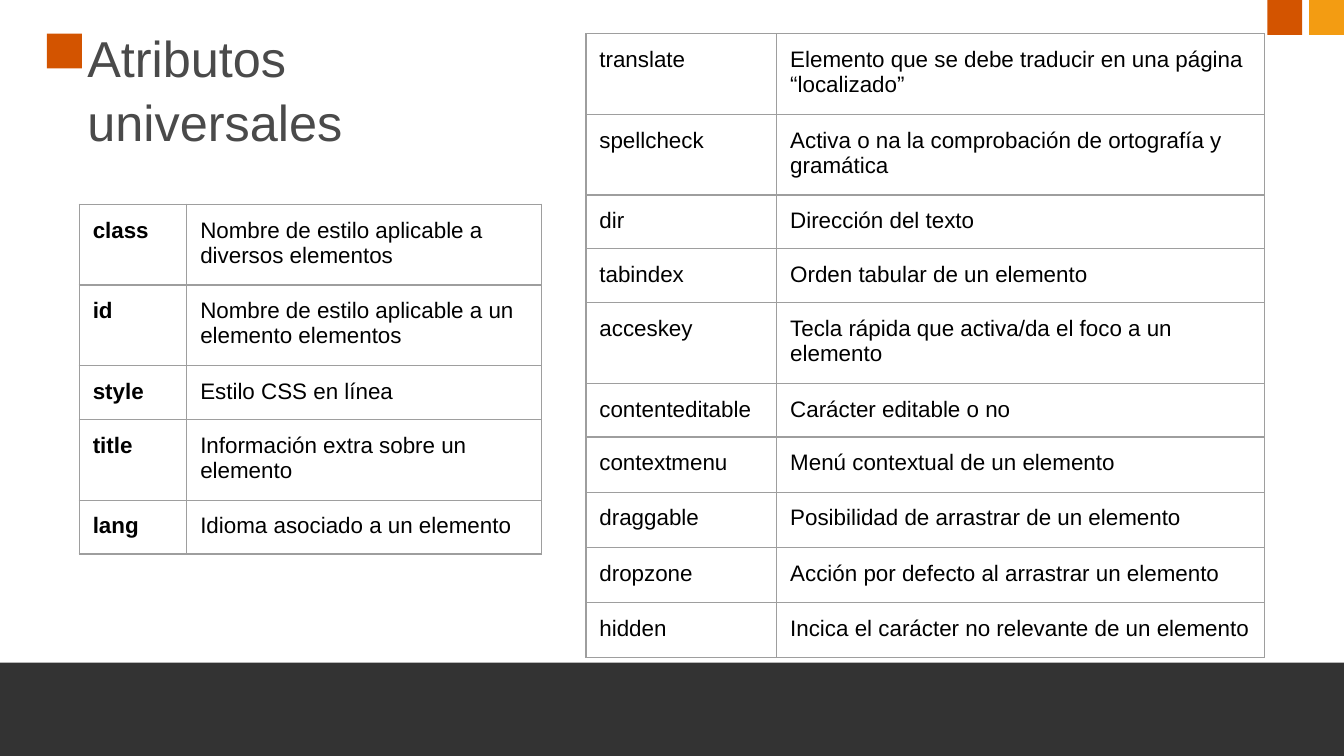
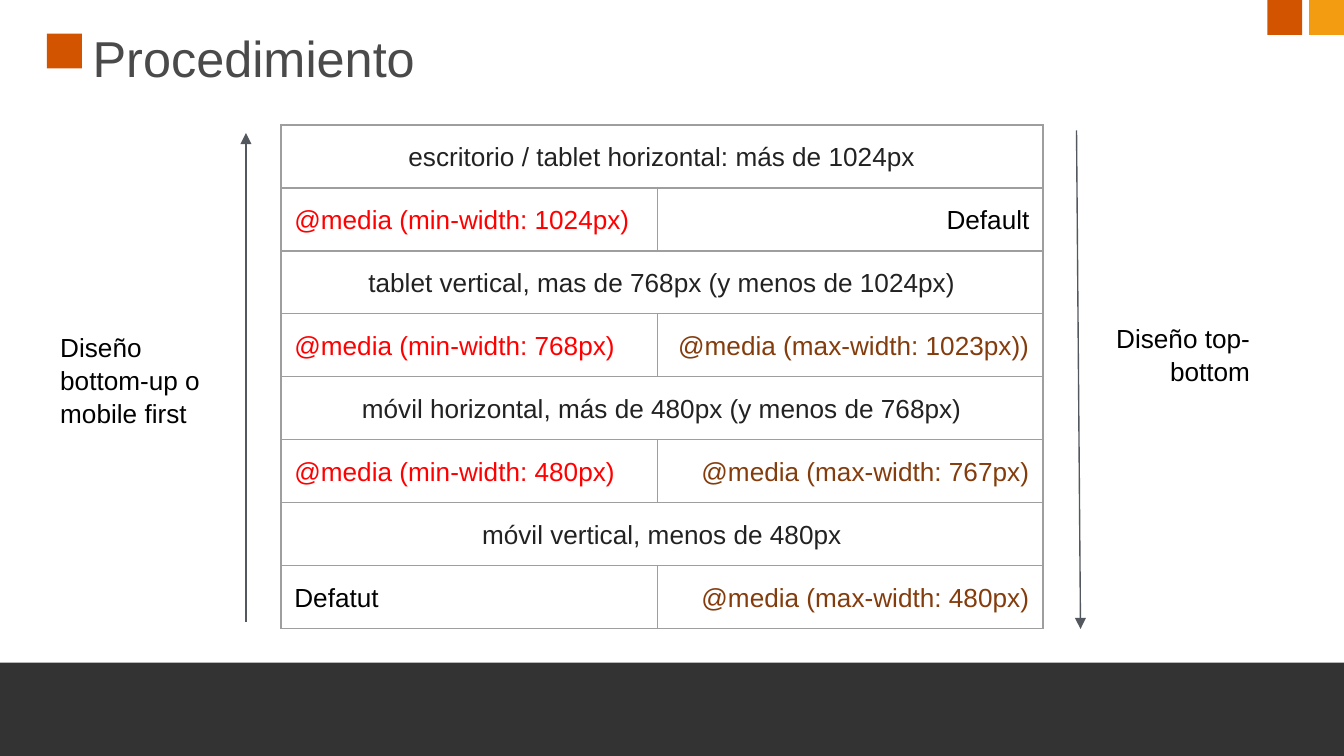
import dataclasses
import typing

import lxml.etree
import pptx
import pptx.dml.color
import pptx.enum.shapes
import pptx.enum.text
import pptx.oxml
import pptx.oxml.ns
import pptx.util

WIDTH = pptx.util.Inches(10)
HEIGHT = pptx.util.Inches(5.625)
COLUMN = WIDTH / 100
ROW = HEIGHT / 56.25
FONT = "Arial"
COLORS = {
    "orange": "D35400",
    "amber": "F39C12",
    "band": "333333",
    "title": "4A4A4A",
    "text": "000000",
    "device": "222222",
    "min_width": "FF0000",
    "max_width": "843C0C",
    "border": "9E9E9E",
    "arrow": "53585F",
}
ALIGN = pptx.enum.text.PP_ALIGN
ANCHOR = pptx.enum.text.MSO_ANCHOR


class Area(typing.NamedTuple):
    """A rectangle in grid columns and rows."""
    left: float
    top: float
    width: float
    height: float


class Block(typing.NamedTuple):
    area: Area
    color: str


class Entry(typing.NamedTuple):
    text: str
    color: str = "text"
    align: ALIGN = ALIGN.LEFT
    bold: bool = False


class Arrow(typing.NamedTuple):
    start: tuple[float, float]
    end: tuple[float, float]


@dataclasses.dataclass
class TableSpec:
    """A row with a single entry spans every column."""
    area: Area
    columns: list[float]
    rows: list[float]
    entries: list[list[Entry]]
    size: float = 12
    spacing: float = 1.0


SQUARE = 2.6
MASTER_BLOCKS = [
    Block(Area(3.5, 2.5, SQUARE, SQUARE), "orange"),
    Block(Area(-0.3, 49.3, 100.5, 7), "band"),
    Block(Area(94.3, 0, SQUARE, SQUARE), "orange"),
    Block(Area(97.4, 0, SQUARE, SQUARE), "amber"),
]

MAIN_ATTRIBUTES = {
    "class": "Nombre de estilo aplicable a diversos elementos",
    "id": "Nombre de estilo aplicable a un elemento elementos",
    "style": "Estilo CSS en línea",
    "title": "Información extra sobre un elemento",
    "lang": "Idioma asociado a un elemento",
}
OTHER_ATTRIBUTES = {
    "translate": "Elemento que se debe traducir en una página “localizado”",
    "spellcheck": "Activa o na la comprobación de ortografía y gramática",
    "dir": "Dirección del texto",
    "tabindex": "Orden tabular de un elemento",
    "acceskey": "Tecla rápida que activa/da el foco a un elemento",
    "contenteditable": "Carácter editable o no",
    "contextmenu": "Menú contextual de un elemento",
    "draggable": "Posibilidad de arrastrar de un elemento",
    "dropzone": "Acción por defecto al arrastrar un elemento",
    "hidden": "Incica el carácter no relevante de un elemento",
}
# Device, bottom-up rule, top-bottom rule
BREAKPOINTS = [
    ("escritorio / tablet horizontal: más de 1024px",
     "@media (min-width: 1024px)", "Default"),
    ("tablet vertical, mas de 768px (y menos de 1024px)",
     "@media (min-width: 768px)", "@media (max-width: 1023px))"),
    ("móvil horizontal, más de 480px (y menos de 768px)",
     "@media (min-width: 480px)", "@media (max-width: 767px)"),
    ("móvil vertical, menos de 480px",
     "Defatut", "@media (max-width: 480px)"),
]


def place(area: Area) -> list[int]:
    return [round(area.left * COLUMN), round(area.top * ROW),
            round(area.width * COLUMN), round(area.height * ROW)]


def rgb(color: str) -> pptx.dml.color.RGBColor:
    return pptx.dml.color.RGBColor.from_string(COLORS[color])


def write(frame, text: str, *, size: float, color: str = "text",
          align: ALIGN = ALIGN.LEFT, bold: bool = False, spacing: float = 1.0) -> None:
    para = frame.paragraphs[0]
    para.alignment = align
    para.line_spacing = spacing
    span = para.add_run()
    span.text = text
    span.font.name = FONT
    span.font.size = pptx.util.Pt(size)
    span.font.bold = bold
    span.font.color.rgb = rgb(color)


def add_text(page, area: Area, text: str, *, inset: float, bottom: float,
             anchor: ANCHOR = ANCHOR.TOP, **style) -> None:
    frame = page.shapes.add_textbox(*place(area)).text_frame
    frame.word_wrap = True
    frame.vertical_anchor = anchor
    frame.margin_left = frame.margin_right = round(inset * COLUMN)
    frame.margin_top = round(inset * ROW)
    frame.margin_bottom = round(bottom * ROW)
    write(frame, text, spacing=1.05, **style)


def add_block(page, block: Block) -> None:
    shape = page.shapes.add_shape(
        pptx.enum.shapes.MSO_SHAPE.RECTANGLE, *place(block.area))
    shape.shadow.inherit = False
    shape.fill.solid()
    shape.fill.fore_color.rgb = rgb(block.color)
    shape.line.fill.background()


def add_page(deck, title: str, area: Area):
    """Add a slide with the shared blocks and a title."""
    page = deck.slides.add_slide(deck.slide_layouts[6])
    for block in MASTER_BLOCKS:
        add_block(page, block)
    add_text(page, area, title, inset=0.6, bottom=0.6, size=27, color="title")
    return page


def style_cell(cell) -> None:
    """Give a cell its borders, margins and empty fill."""
    properties = cell._tc.get_or_add_tcPr()
    for side in "LRTB":
        properties.append(pptx.oxml.parse_xml(
            f'<a:ln{side} {pptx.oxml.ns.nsdecls("a")} w="{pptx.util.Pt(0.75)}">'
            f'<a:solidFill><a:srgbClr val="{COLORS["border"]}"/></a:solidFill>'
            f'</a:ln{side}>'))
    cell.fill.background()
    cell.margin_left = cell.margin_right = round(COLUMN)
    cell.margin_top = cell.margin_bottom = round(ROW)


def add_table(page, spec: TableSpec) -> None:
    graphic = page.shapes.add_table(
        len(spec.rows), len(spec.columns), *place(spec.area))
    table = graphic.table
    table.first_row = table.horz_banding = False
    for column, width in zip(table.columns, spec.columns):
        column.width = round(width * COLUMN)
    for row, height in zip(table.rows, spec.rows):
        row.height = round(height * ROW)
    graphic.height = round(spec.area.height * ROW)
    for cell in table.iter_cells():
        style_cell(cell)
    last = len(spec.columns) - 1
    for index, entries in enumerate(spec.entries):
        if len(entries) == 1:
            table.cell(index, 0).merge(table.cell(index, last))
        for position, entry in enumerate(entries):
            write(table.cell(index, position).text_frame, entry.text,
                  size=spec.size, color=entry.color, align=entry.align,
                  bold=entry.bold, spacing=spec.spacing)


def add_arrow(page, arrow: Arrow) -> None:
    points = [round(length * unit) for point in (arrow.start, arrow.end)
              for length, unit in zip(point, (COLUMN, ROW))]
    connector = page.shapes.add_connector(
        pptx.enum.shapes.MSO_CONNECTOR.STRAIGHT, *points)
    connector.line.width = pptx.util.Pt(0.75)
    connector.line.color.rgb = rgb("arrow")
    outline = connector.line._get_or_add_ln()
    lxml.etree.SubElement(outline, pptx.oxml.ns.qn("a:tailEnd"), type="triangle")
    lxml.etree.SubElement(connector._element.spPr, pptx.oxml.ns.qn("a:effectLst"))


def glossary(terms: dict[str, str], bold: bool = False) -> list[list[Entry]]:
    return [[Entry(term, bold=bold), Entry(meaning)]
            for term, meaning in terms.items()]


def media_rule(text: str, color: str, align: ALIGN) -> Entry:
    return Entry(text, color if text.startswith("@media") else "text", align)


def breakpoint_rows() -> list[list[Entry]]:
    rows = []
    for device, bottom_up, top_bottom in BREAKPOINTS:
        rows.append([Entry(device, "device", ALIGN.CENTER)])
        rows.append([media_rule(bottom_up, "min_width", ALIGN.LEFT),
                     media_rule(top_bottom, "max_width", ALIGN.RIGHT)])
    return rows


def add_attributes_page(deck) -> None:
    page = add_page(deck, "Atributos universales", Area(5.9, 1.2, 26.5, 11))
    add_table(page, TableSpec(
        Area(43.6, 2.5, 50.5, 46.3), [14.2, 36.3], [3.5] * 6 + [4.1] * 4,
        glossary(OTHER_ATTRIBUTES)))
    add_table(page, TableSpec(
        Area(5.9, 15.2, 34.4, 26), [8, 26.4], [4.7, 3.2, 3.2, 3.4, 3.3],
        glossary(MAIN_ATTRIBUTES, bold=True)))


def add_procedure_page(deck) -> None:
    page = add_page(deck, "Procedimiento", Area(6.3, 1.2, 85.7, 5.9))
    rows = breakpoint_rows()
    add_table(page, TableSpec(
        Area(20.9, 9.3, 56.7, 36.2), [28, 28.7], [4.2] * len(rows), rows,
        size=14, spacing=1.15))
    for left, top, text, align in [
        (3.5, 23.4, "Diseño bottom-up o mobile first", ALIGN.LEFT),
        (81, 21.5, "Diseño top-bottom", ALIGN.RIGHT),
    ]:
        add_text(page, Area(left, top, 13, 12), text, inset=1, bottom=3.3,
                 anchor=ANCHOR.MIDDLE, size=14, align=align)
    for arrow in [Arrow((18.3, 46.3), (18.3, 9.9)),
                  Arrow((80.1, 9.7), (80.4, 46.8))]:
        add_arrow(page, arrow)


def main() -> None:
    deck = pptx.Presentation()
    deck.slide_width, deck.slide_height = WIDTH, HEIGHT
    add_attributes_page(deck)
    add_procedure_page(deck)
    deck.save("out.pptx")


if __name__ == "__main__":
    main()
